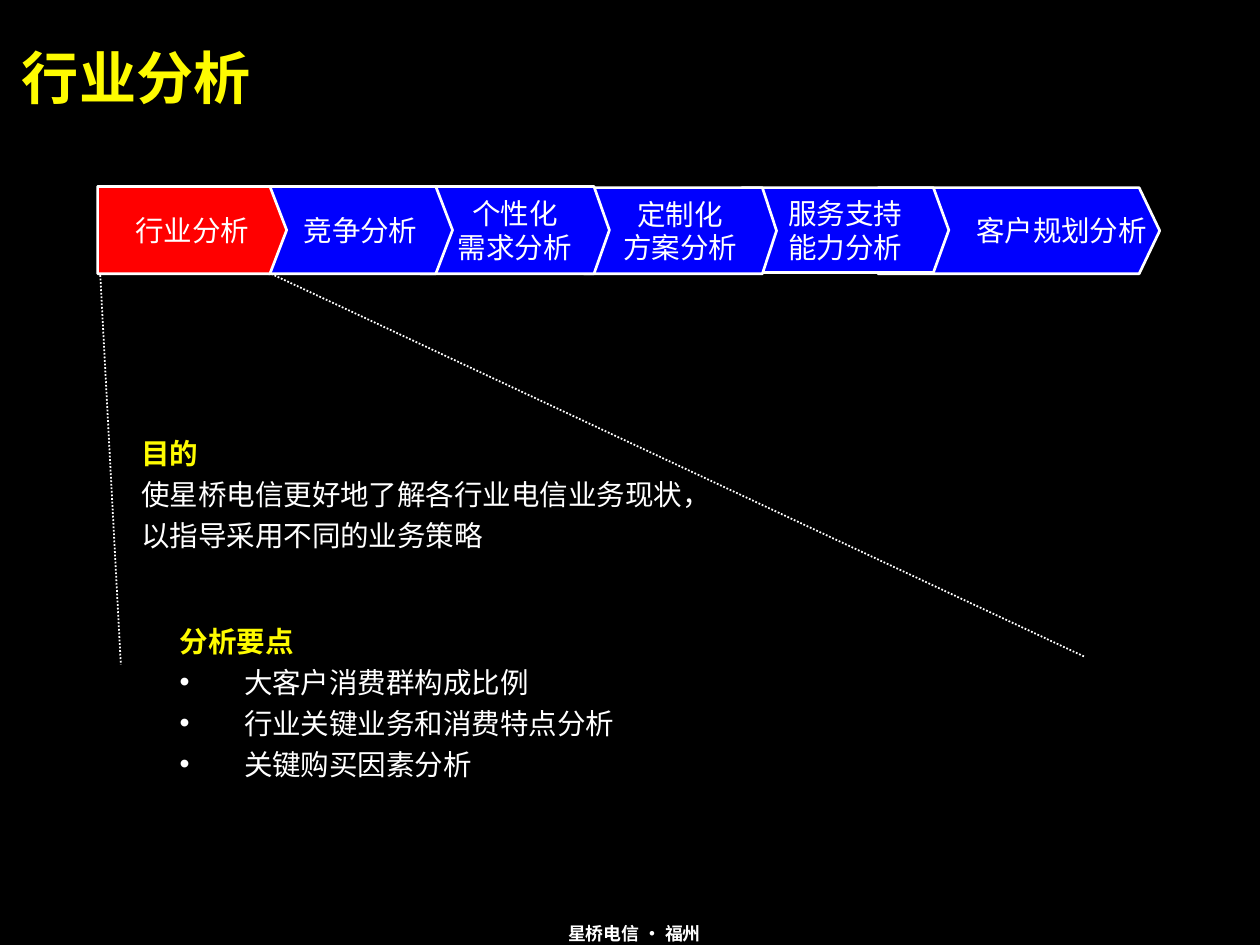
from dataclasses import dataclass

from lxml import etree
from pptx import Presentation
from pptx.dml.color import RGBColor
from pptx.enum.dml import MSO_LINE
from pptx.enum.shapes import MSO_CONNECTOR
from pptx.enum.text import MSO_ANCHOR, PP_ALIGN
from pptx.oxml.ns import qn
from pptx.util import Inches, Pt

LEFT, CENTER, RIGHT = PP_ALIGN.LEFT, PP_ALIGN.CENTER, PP_ALIGN.RIGHT
MIDDLE, TOP = MSO_ANCHOR.MIDDLE, MSO_ANCHOR.TOP
STRAIGHT = MSO_CONNECTOR.STRAIGHT
DOTTED = MSO_LINE.ROUND_DOT


@dataclass(frozen=True)
class Theme:
    black: RGBColor = RGBColor(0x00, 0x00, 0x00)
    white: RGBColor = RGBColor(0xFF, 0xFF, 0xFF)
    yellow: RGBColor = RGBColor(0xFE, 0xFB, 0x00)
    blue: RGBColor = RGBColor(0x00, 0x00, 0xFE)
    red: RGBColor = RGBColor(0xFF, 0x00, 0x00)
    title_font: str = "Arial"
    body_font: str = "Noto Sans CJK SC"
    title_size: Pt = Pt(32)
    body_size: Pt = Pt(16)
    footer_size: Pt = Pt(10)
    body_leading: Pt = Pt(23)
    step_leading: Pt = Pt(19)
    footer_leading: Pt = Pt(12)


THEME = Theme()

# left, top, width, height, length of the point, label lines
STEPS = [
    (0.76, 1.45, 1.47, 0.68, 0.13, ["行业分析"]),
    (2.09, 1.45, 1.43, 0.68, 0.13, ["竞争分析"]),
    (3.27, 1.45, 1.47, 0.68, 0.12, ["个性化", "需求分析"]),
    (4.54, 1.46, 1.5, 0.67, 0.11, ["定制化", "方案分析"]),
    (5.77, 1.46, 1.61, 0.66, 0.12, ["服务支持", "能力分析"]),
    (6.83, 1.46, 2.19, 0.67, 0.16, ["客户规划分析"]),
]
PURPOSE = "使星桥电信更好地了解各行业电信业务现状，以指导采用不同的业务策略"
KEY_POINTS = ["大客户消费群构成比例", "行业关键业务和消费特点分析", "关键购买因素分析"]


def add_run(paragraph, text, size, color, bold=False, font=THEME.body_font):
    run = paragraph.add_run()
    run.text = text
    run.font.name = font
    run.font.size = size
    run.font.bold = bold
    run.font.color.rgb = color
    east_asian = etree.SubElement(run.font._element, qn("a:ea"))
    east_asian.set("typeface", THEME.body_font)


def add_lines(frame, lines, size, leading, align=LEFT):
    """Write (text, colour, bold) lines, one paragraph each."""
    for index, (text, color, bold) in enumerate(lines):
        paragraph = frame.add_paragraph() if index else frame.paragraphs[0]
        paragraph.alignment = align
        paragraph.line_spacing = leading
        add_run(paragraph, text, size, color, bold)


def add_text_box(slide, box, lines, size, leading, align=LEFT):
    frame = slide.shapes.add_textbox(*map(Inches, box)).text_frame
    frame.word_wrap = True
    add_lines(frame, lines, size, leading, align)
    return frame


def set_hanging(paragraph, bullet):
    properties = paragraph._p.get_or_add_pPr()
    properties.set("marL", str(Inches(0.5)))
    properties.set("indent", str(-Inches(0.5)))
    if bullet:
        bullet_color = etree.SubElement(properties, qn("a:buClr"))
        etree.SubElement(bullet_color, qn("a:srgbClr")).set("val", str(THEME.white))
        etree.SubElement(properties, qn("a:buFont")).set("typeface", THEME.title_font)
        etree.SubElement(properties, qn("a:buChar")).set("char", "•")


def add_title(slide, box, text):
    title = slide.shapes.title
    title.left, title.top, title.width, title.height = map(Inches, box)
    frame = title.text_frame
    frame.margin_left = frame.margin_right = frame.margin_top = frame.margin_bottom = 0
    frame.vertical_anchor = MIDDLE
    frame.paragraphs[0].alignment = LEFT
    add_run(frame.paragraphs[0], text, THEME.title_size, THEME.yellow, True, THEME.title_font)


def add_step(slide, box, point, labels, fill, align):
    left, top, width, height = map(Inches, box)
    right, bottom = left + width, top + height
    shoulder = right - Inches(point)
    outline = slide.shapes.build_freeform(left, top)
    outline.add_line_segments(
        [(shoulder, top), (right, top + height // 2), (shoulder, bottom), (left, bottom)])
    step = outline.convert_to_shape()
    step.shadow.inherit = False
    step.fill.solid()
    step.fill.fore_color.rgb = fill
    step.line.color.rgb = THEME.white
    step.line.width = Pt(1.5)
    frame = step.text_frame
    frame.word_wrap = False
    frame.vertical_anchor = MIDDLE
    add_lines(frame, [(label, THEME.white, False) for label in labels],
              THEME.body_size, THEME.step_leading, align)


def add_process(slide, steps):
    """Stack the steps from the last to the first, so each point overlaps the next step."""
    first, last = steps[0], steps[-1]
    for step in reversed(steps):
        *box, point, labels = step
        add_step(slide, box, point, labels,
                 THEME.red if step is first else THEME.blue,
                 RIGHT if step is last else CENTER)


def add_zoom_line(slide, start, end):
    zoom = slide.shapes.add_connector(STRAIGHT, *map(Inches, start + end))
    zoom.line.color.rgb = THEME.white
    zoom.line.width = Pt(1)
    zoom.line.dash_style = DOTTED
    etree.SubElement(zoom._element.spPr, qn("a:effectLst"))


def add_purpose(slide, box):
    add_text_box(slide, box, [("目的", THEME.yellow, True), (PURPOSE, THEME.white, False)],
                 THEME.body_size, THEME.body_leading)


def add_key_points(slide, box):
    lines = [("分析要点", THEME.yellow, True)]
    lines += [(point, THEME.white, False) for point in KEY_POINTS]
    frame = add_text_box(slide, box, lines, THEME.body_size, THEME.body_leading)
    for index, paragraph in enumerate(frame.paragraphs):
        set_hanging(paragraph, bullet=index > 0)


def add_footer(slide, box):
    add_text_box(slide, box, [("星桥电信 · 福州", THEME.white, True)],
                 THEME.footer_size, THEME.footer_leading, CENTER)


def main():
    deck = Presentation()
    deck.slide_width, deck.slide_height = Inches(9.8), Inches(7.35)
    slide = deck.slides.add_slide(deck.slide_layouts.get_by_name("Title Only"))
    slide.background.fill.solid()
    slide.background.fill.fore_color.rgb = THEME.black
    add_footer(slide, (3.35, 7.13, 3.17, 0.21))
    add_title(slide, (0.17, 0.33, 9.44, 0.53), "行业分析")
    add_process(slide, STEPS)
    add_zoom_line(slide, (0.78, 2.14), (0.94, 5.17))
    add_zoom_line(slide, (2.11, 2.13), (8.44, 5.11))
    add_purpose(slide, (1, 3.29, 4.41, 1.06))
    add_key_points(slide, (1.3, 4.75, 6.83, 1.38))
    deck.save("out.pptx")


if __name__ == "__main__":
    main()
